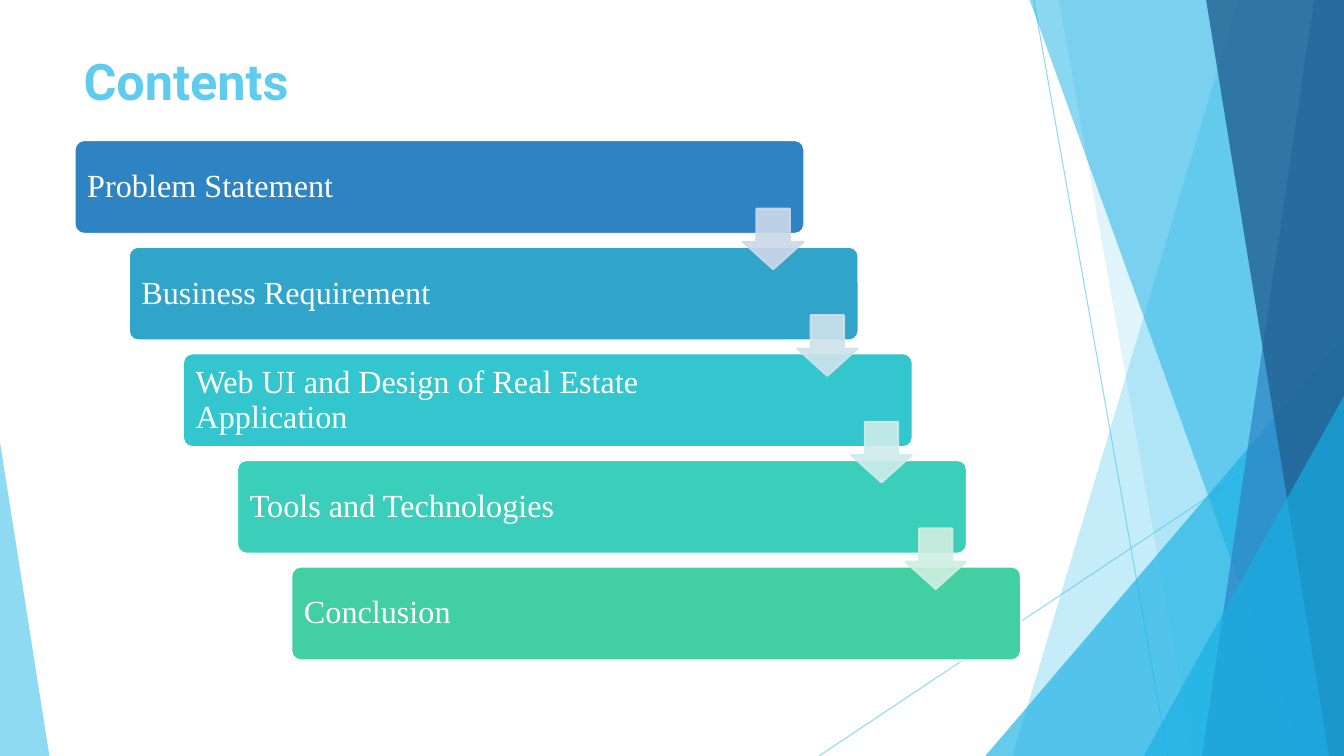
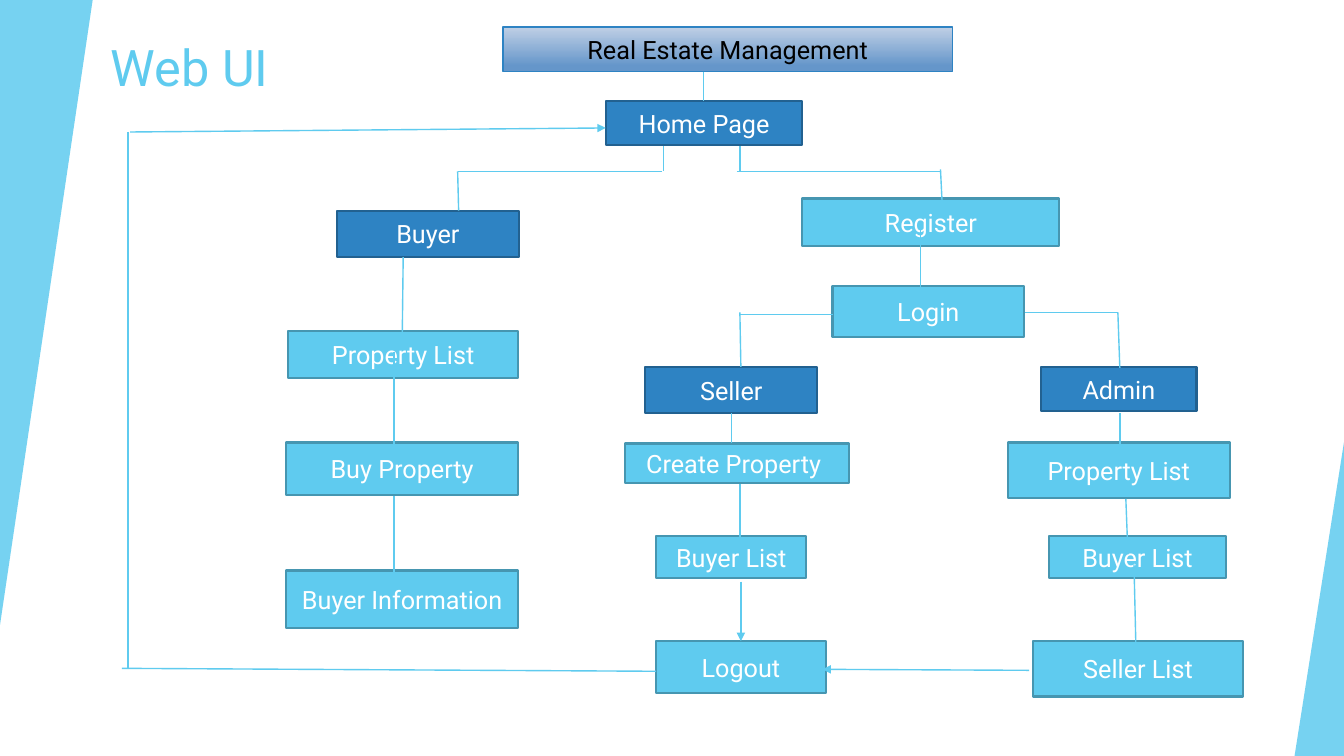
from lxml.etree import SubElement
from pptx import Presentation
from pptx.dml.color import RGBColor
from pptx.enum.shapes import MSO_CONNECTOR, MSO_SHAPE
from pptx.enum.text import MSO_ANCHOR, PP_ALIGN
from pptx.oxml.ns import qn
from pptx.util import Pt

COLORS = {
    "white": "FFFFFF",
    "black": "000000",
    "sky": "5FCBEF",
    "sky_edge": "4696B1",
    "title_edge": "53C3E9",
    "cyan": "17B0E4",
    "blue": "2E83C3",
    "blue_edge": "226190",
    "navy": "226292",
    "root_top": "BFCFE5",
    "root_bottom": "6596CA",
}
WIDTH, HEIGHT = 960, 540
CORNER_WIDTH, CORNER_HEIGHT = 35.3, 224

STEPS = [
    ("Problem Statement", "2E83C3", "CDD9E9"),
    ("Business Requirement", "30A4C9", "CEE3EB"),
    ("Web UI and Design of Real Estate Application", "34C6CE", "CEECEA"),
    ("Tools and Technologies", "3BCFBB", "CFEEE0"),
    ("Conclusion", "42D0A2", None),
]

ROLES = [
    ("Home Page", 345.7, 53, 140.4, 31.7),
    ("Buyer", 153.5, 131.5, 130.3, 33.1),
    ("Seller", 373.8, 243.1, 123.1, 33.1),
    ("Admin", 656.8, 243.1, 110.9, 31.7),
]
PAGES = [
    ("Property List", 118.9, 217.2, 164.2, 33.8),
    ("Register", 486.1, 122.8, 183.6, 33.8),
    ("Buy Property", 117.5, 297.1, 165.6, 37.4),
    ("Buyer Information", 117.5, 388.5, 165.6, 41),
    ("Login", 507.7, 185.5, 136.8, 36),
    ("Create Property ", 359.4, 297.8, 159.8, 28.1),
    ("Buyer List", 381.7, 364, 107.3, 30.2),
    ("Property List", 633, 297.1, 158.4, 39.6),
    ("Buyer List", 662.5, 364, 126, 30.2),
    ("Seller List", 651, 438.9, 149.8, 39.6),
    ("Logout", 381.7, 438.9, 121, 37.4),
]
LINKS = [
    (415.6, 32.1, 415.6, 53),
    (386.8, 85.4, 386.8, 103.4),
    (239.9, 103.4, 386, 103.4),
    (239.9, 103.4, 240.6, 131.5),
    (441.5, 85.4, 441.5, 103.4),
    (439.3, 103.4, 584.8, 103.4),
    (584.8, 102, 586.2, 130.8),
    (201, 164.6, 200.3, 223.6),
    (194.5, 232.3, 194.5, 297.8),
    (194.5, 335.2, 194.5, 392.8),
    (570.4, 138.7, 570.4, 194.1),
    (441.5, 205.6, 507.7, 205.6),
    (441.5, 204.2, 442.2, 243.1),
    (645.2, 204.2, 711.5, 204.2),
    (711.5, 204.2, 712.9, 243.8),
    (435.7, 276.2, 435.7, 297.1),
    (441.5, 326.6, 441.5, 377),
    (712.9, 276.2, 712.9, 309.3),
    (717.2, 337.4, 718.7, 377),
    (723, 384.2, 724.4, 444),
    (0, 458.4, 381.7, 460.5),
    (4.4, 75.3, 4.4, 458.4),
]
ARROWS = [
    (442.2, 396.4, 442.2, 438.9),
    (648.1, 459.8, 500.5, 459.1),
    (5.9, 75.3, 345.7, 72.4),
]


def rgb(color):
    """Return the colour for a palette name or a hex string."""
    return RGBColor.from_string(COLORS.get(color, color))


def set_alpha(shape, percent):
    """Make the fill and line of a shape partly transparent."""
    for color in shape.element.spPr.iter(qn("a:srgbClr")):
        SubElement(color, qn("a:alpha"), val=str(percent * 1000))


def style_shape(shape, fill, edge=None, edge_width=1.5, alpha=100):
    """Give a shape a flat fill, an optional edge and no shadow."""
    shape.shadow.inherit = False
    shape.fill.solid()
    shape.fill.fore_color.rgb = rgb(fill)
    if edge:
        shape.line.color.rgb = rgb(edge)
        shape.line.width = Pt(edge_width)
    else:
        shape.line.fill.background()
    if alpha < 100:
        set_alpha(shape, alpha)


def add_preset(slide, kind, box, adjustments=(), **style):
    """Add a styled preset shape in a box of points."""
    shape = slide.shapes.add_shape(kind, *map(Pt, box))
    for index, value in enumerate(adjustments):
        shape.adjustments[index] = value
    style_shape(shape, **style)
    return shape


def add_triangle(slide, box, apex, color, alpha):
    """Add a transparent triangle with its apex at a share of the width."""
    return add_preset(slide, MSO_SHAPE.ISOSCELES_TRIANGLE, box, [apex], fill=color, alpha=alpha)


def add_line(slide, ends, width, arrow=False, alpha=100):
    """Add a straight sky-blue line, with an arrowhead if asked."""
    line = slide.shapes.add_connector(MSO_CONNECTOR.STRAIGHT, *map(Pt, ends))
    line.line.color.rgb = rgb("sky")
    line.line.width = Pt(width)
    properties = line.element.spPr
    if arrow:
        SubElement(properties.find(qn("a:ln")), qn("a:tailEnd"), type="triangle")
    SubElement(properties, qn("a:effectLst"))
    if alpha < 100:
        set_alpha(line, alpha)


def write_text(shape, text, size, font, color, bold=False):
    """Write one formatted paragraph and return it."""
    frame = shape.text_frame
    frame.word_wrap = True
    frame.text = text
    paragraph = frame.paragraphs[0]
    run_font = paragraph.runs[0].font
    run_font.size, run_font.name, run_font.bold = Pt(size), font, bold
    run_font.color.rgb = rgb(color)
    return paragraph


def add_title(slide, text, box, outlined=False):
    """Add the slide title, bold with an outline if asked."""
    shape = slide.shapes.add_textbox(*map(Pt, box))
    write_text(shape, text, 36, "Roboto", "sky", bold=outlined)
    if outlined:
        properties = next(shape.element.iter(qn("a:rPr")))
        outline = SubElement(properties, qn("a:ln"), w=str(Pt(0.83)))
        fill = SubElement(outline, qn("a:solidFill"))
        SubElement(fill, qn("a:srgbClr"), val=COLORS["title_edge"])
        properties.insert(0, outline)


def add_facets(slide, left, top, width, height):
    """Draw the overlapping glass facets that fill a band at the right."""
    right, bottom = left + width, top + height

    def add_facet(top_x, bottom_x, color, alpha):
        """Add a facet from a slanted side to the right edge."""
        builder = slide.shapes.build_freeform(Pt(left + top_x), Pt(top))
        corners = [(right, top), (right, bottom), (left + bottom_x, bottom)]
        builder.add_line_segments([(Pt(x), Pt(y)) for x, y in corners])
        style_shape(builder.convert_to_shape(), color, alpha=alpha)

    def add_wedge(start, wedge_height):
        """Add a triangle standing in the lower right corner."""
        box = (left + start, bottom - wedge_height, width - start, wedge_height)
        add_triangle(slide, box, 1, "cyan", 66)

    add_line(slide, (left + 153.4, top, left + 249.2, bottom), 0.75, alpha=70)
    add_line(slide, (right, top + 290.2, left, bottom), 0.75, alpha=70)
    add_facet(299.6, 138.3, "sky", 36)
    add_facet(171.4, 267.2, "sky", 20)
    add_wedge(118.8, 300)
    add_facet(150.5, 344.9, "cyan", 50)
    add_facet(353.6, 273.6, "blue", 70)
    add_facet(276.5, 364.3, "navy", 80)
    add_wedge(231.9, 257)


def add_staircase(slide, left, top, width, height):
    """Draw the agenda as descending bars joined by down arrows."""
    bar_width, bar_height, arrow_size = 521.3, 67, 43.2
    step_x = (width - bar_width) / (len(STEPS) - 1)
    step_y = (height - bar_height) / (len(STEPS) - 1)
    for index, (text, color, _) in enumerate(STEPS):
        box = (left + index * step_x, top + index * step_y, bar_width, bar_height)
        bar = add_preset(slide, MSO_SHAPE.ROUNDED_RECTANGLE, box, [0.1], fill=color, edge="white")
        frame = bar.text_frame
        frame.vertical_anchor = MSO_ANCHOR.MIDDLE
        frame.margin_left, frame.margin_right = Pt(7.2), Pt(89)
        paragraph = write_text(bar, text, 23, "Times New Roman", "white")
        paragraph.alignment = PP_ALIGN.LEFT
        paragraph.line_spacing = 0.9
    for index, (_, _, color) in enumerate(STEPS[:-1]):
        box = (left + 477.4 + index * step_x, top + 49 + index * step_y, arrow_size, arrow_size)
        add_preset(slide, MSO_SHAPE.DOWN_ARROW, box, [0.55, 0.45], fill=color, edge=color, alpha=90)


def add_site_map(slide, left, top):
    """Draw the page flow from its upper left corner."""

    def add_node(text, x, y, width, height, fill, edge, color="white", edge_width=1.5):
        """Add one labelled rectangle."""
        box = (left + x, top + y, width, height)
        node = add_preset(slide, MSO_SHAPE.RECTANGLE, box, fill=fill, edge=edge, edge_width=edge_width)
        node.text_frame.vertical_anchor = MSO_ANCHOR.MIDDLE
        write_text(node, text, 18, "Roboto", color).alignment = PP_ALIGN.CENTER
        return node

    for role in ROLES:
        add_node(*role, "blue", "blue_edge")
    for page in PAGES:
        add_node(*page, "sky", "sky_edge")
    root = add_node("Real Estate Management", 272.3, 0.4, 321.1, 31.7, "root_top", "blue", "black", 1)
    root.fill.gradient()
    root.fill.gradient_angle = 270
    stops = [("root_top", 0), ("root_bottom", 0.88)]
    for stop, (color, position) in zip(root.fill.gradient_stops, stops):
        stop.color.rgb = rgb(color)
        stop.position = position
    for links, arrow in ((LINKS, False), (ARROWS, True)):
        for x1, y1, x2, y2 in links:
            add_line(slide, (left + x1, top + y1, left + x2, top + y2), 1, arrow)


def build_contents(slide):
    """Build the agenda slide."""
    add_facets(slide, 585, 0, 375, HEIGHT)
    corner = (0, HEIGHT - CORNER_HEIGHT, CORNER_WIDTH, CORNER_HEIGHT)
    add_triangle(slide, corner, 0, "sky", 70)
    add_title(slide, "Contents", (52.6, 32.4, 676.8, 63.4), outlined=True)
    add_staircase(slide, 53.3, 100.1, 676.1, 371.6)


def build_web_ui(slide):
    """Build the page flow slide."""
    add_title(slide, "Web UI", (72, 22.3, 802.8, 86.4))
    add_triangle(slide, (0, 0, 66.2, 446.4), 1, "sky", 85).rotation = 180
    corner = (WIDTH - CORNER_WIDTH, HEIGHT - CORNER_HEIGHT, CORNER_WIDTH, CORNER_HEIGHT)
    add_triangle(slide, corner, 1, "sky", 85)
    add_site_map(slide, 87, 19)


def main():
    """Build and save the presentation."""
    presentation = Presentation()
    presentation.slide_width, presentation.slide_height = Pt(WIDTH), Pt(HEIGHT)
    for build in (build_contents, build_web_ui):
        build(presentation.slides.add_slide(presentation.slide_layouts[6]))
    presentation.save("out.pptx")


if __name__ == "__main__":
    main()
